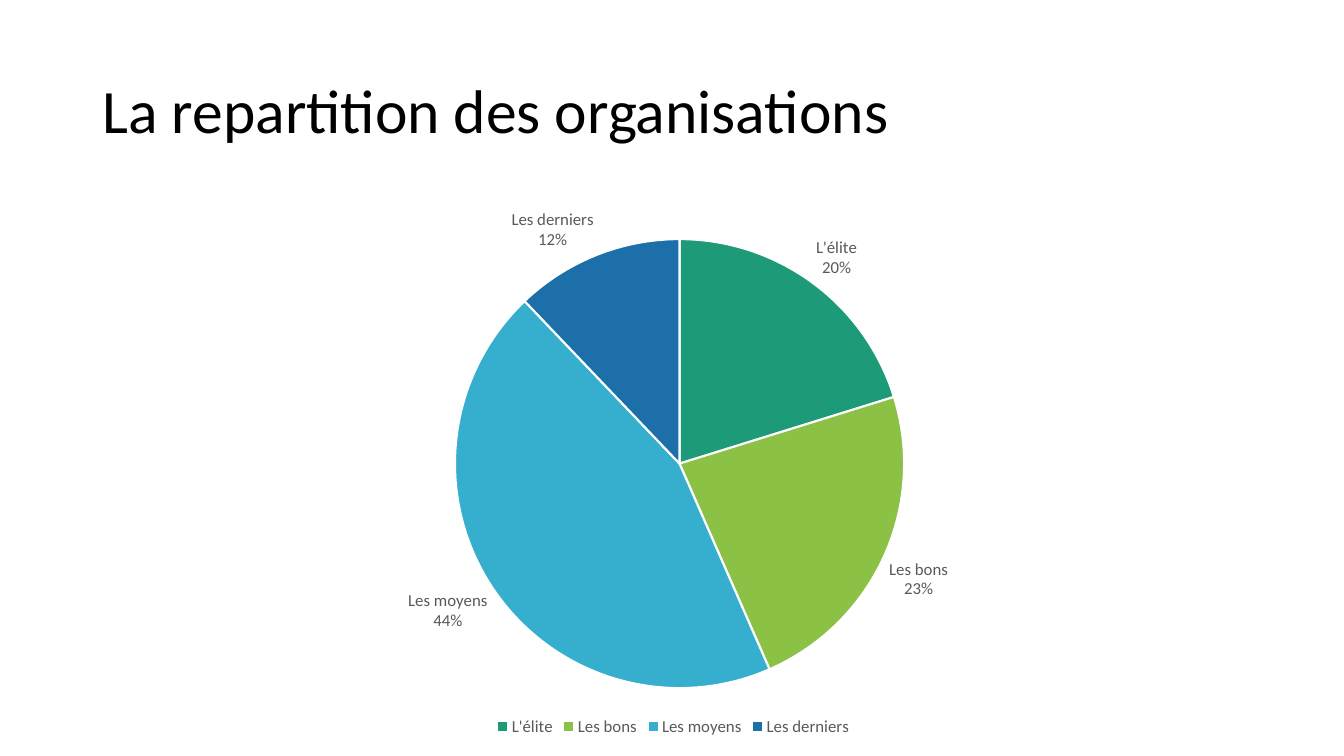
from lxml import etree
from pptx import Presentation
from pptx.chart.data import CategoryChartData
from pptx.dml.color import RGBColor
from pptx.enum.chart import XL_CHART_TYPE as ChartType
from pptx.enum.chart import XL_LABEL_POSITION as LabelPosition
from pptx.enum.chart import XL_LEGEND_POSITION as LegendPosition
from pptx.enum.text import MSO_ANCHOR as Anchor
from pptx.oxml import parse_xml
from pptx.oxml.ns import nsdecls, qn
from pptx.util import Inches, Pt

WIDTH, HEIGHT = Inches(13.33), Inches(7.5)
FONT = "Calibri"
GREY = "595959"
GROUPS = [
    ("L'élite", 20, "1D9A78"),
    ("Les bons", 23, "8BC145"),
    ("Les moyens", 44, "36AFCE"),
    ("Les derniers", 12, "1D6FA9"),
]
PIE_AREA = {"x": 0.32, "y": 0.09, "w": 0.37, "h": 0.82}


def color(value):
    return RGBColor.from_string(value)


def style_font(font, size, hex_color):
    font.name = FONT
    font.size = Pt(size)
    font.color.rgb = color(hex_color)


def add_text(slide, text, box, size=18, hex_color="000000", anchor=Anchor.MIDDLE,
             line_spacing=0.9, space_after=6):
    frame = slide.shapes.add_textbox(*box).text_frame
    frame.word_wrap = True
    frame.vertical_anchor = anchor
    paragraph = frame.paragraphs[0]
    paragraph.line_spacing = line_spacing
    paragraph.space_after = Pt(space_after)
    run = paragraph.add_run()
    run.text = text
    style_font(run.font, size, hex_color)


def place_plot(chart, area):
    """Fix the plot area, given as shares of the chart's size."""
    plot_area = chart._chartSpace.chart.plotArea
    for layout in plot_area.findall(qn("c:layout")):
        plot_area.remove(layout)
    modes = '<c:xMode val="edge"/><c:yMode val="edge"/>'
    sizes = "".join(f'<c:{key} val="{share}"/>' for key, share in area.items())
    plot_area.insert(0, parse_xml(
        f'<c:layout {nsdecls("c")}><c:manualLayout><c:layoutTarget val="inner"/>'
        f"{modes}{sizes}</c:manualLayout></c:layout>"))


def label_slices(plot):
    plot.has_data_labels = True
    labels = plot.data_labels
    labels.show_category_name = True
    labels.show_percentage = True
    labels.show_value = False
    labels.position = LabelPosition.OUTSIDE_END
    style_font(labels.font, 12, GREY)
    separator = etree.Element(qn("c:separator"))
    separator.text = "\n"
    labels._element.find(qn("c:showPercent")).getparent()
    last_flag = [flag for flag in labels._element
                 if flag.tag in (qn("c:showPercent"), qn("c:showBubbleSize"))][-1]
    last_flag.addnext(separator)


def add_pie(slide, groups, box):
    data = CategoryChartData()
    data.categories = [name for name, _, _ in groups]
    data.add_series("Series 1", [value for _, value, _ in groups])
    chart = slide.shapes.add_chart(ChartType.PIE, *box, data).chart
    style_font(chart.font, 10, "000000")
    chart.has_title = False
    chart.has_legend = True
    chart.legend.position = LegendPosition.BOTTOM
    chart.legend.include_in_layout = False
    style_font(chart.legend.font, 12, GREY)

    plot = chart.plots[0]
    plot.vary_by_categories = True
    for index, (_, _, fill) in enumerate(groups):
        slice_format = plot.series[0].points[index].format
        slice_format.fill.solid()
        slice_format.fill.fore_color.rgb = color(fill)
        slice_format.line.color.rgb = color("FFFFFF")
        slice_format.line.width = Pt(1.5)
    label_slices(plot)
    place_plot(chart, PIE_AREA)


def main():
    presentation = Presentation()
    presentation.slide_width, presentation.slide_height = WIDTH, HEIGHT
    slide = presentation.slides.add_slide(presentation.slide_layouts[6])
    title_box = [Inches(length) for length in (0.92, 0.4, 11.5, 1.45)]
    chart_box = [Inches(length) for length in (0.66, 1.85, 12.04, 5.5)]
    add_text(slide, "La repartition des organisations", title_box, size=44)
    add_pie(slide, GROUPS, chart_box)
    presentation.save("out.pptx")


if __name__ == "__main__":
    main()
